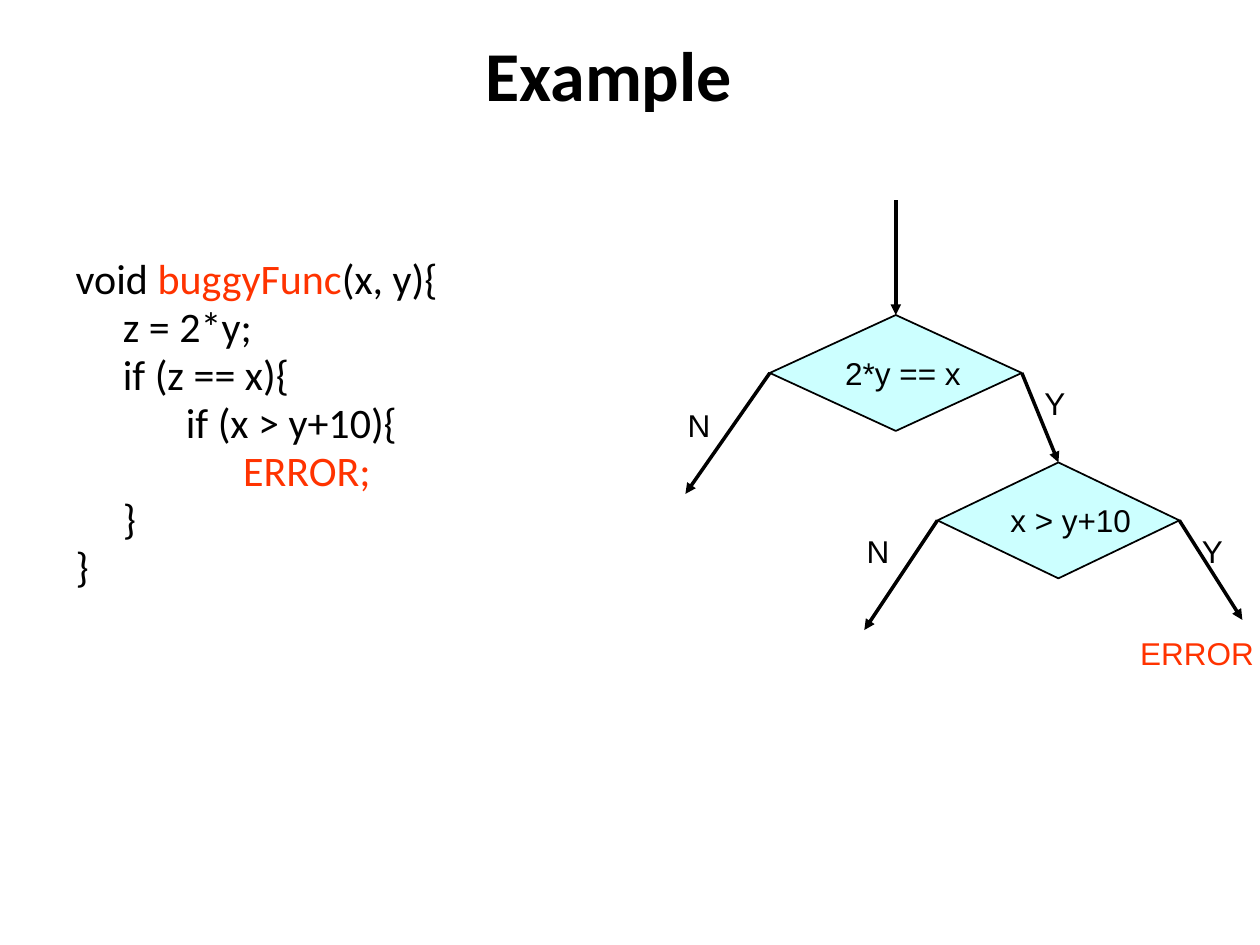
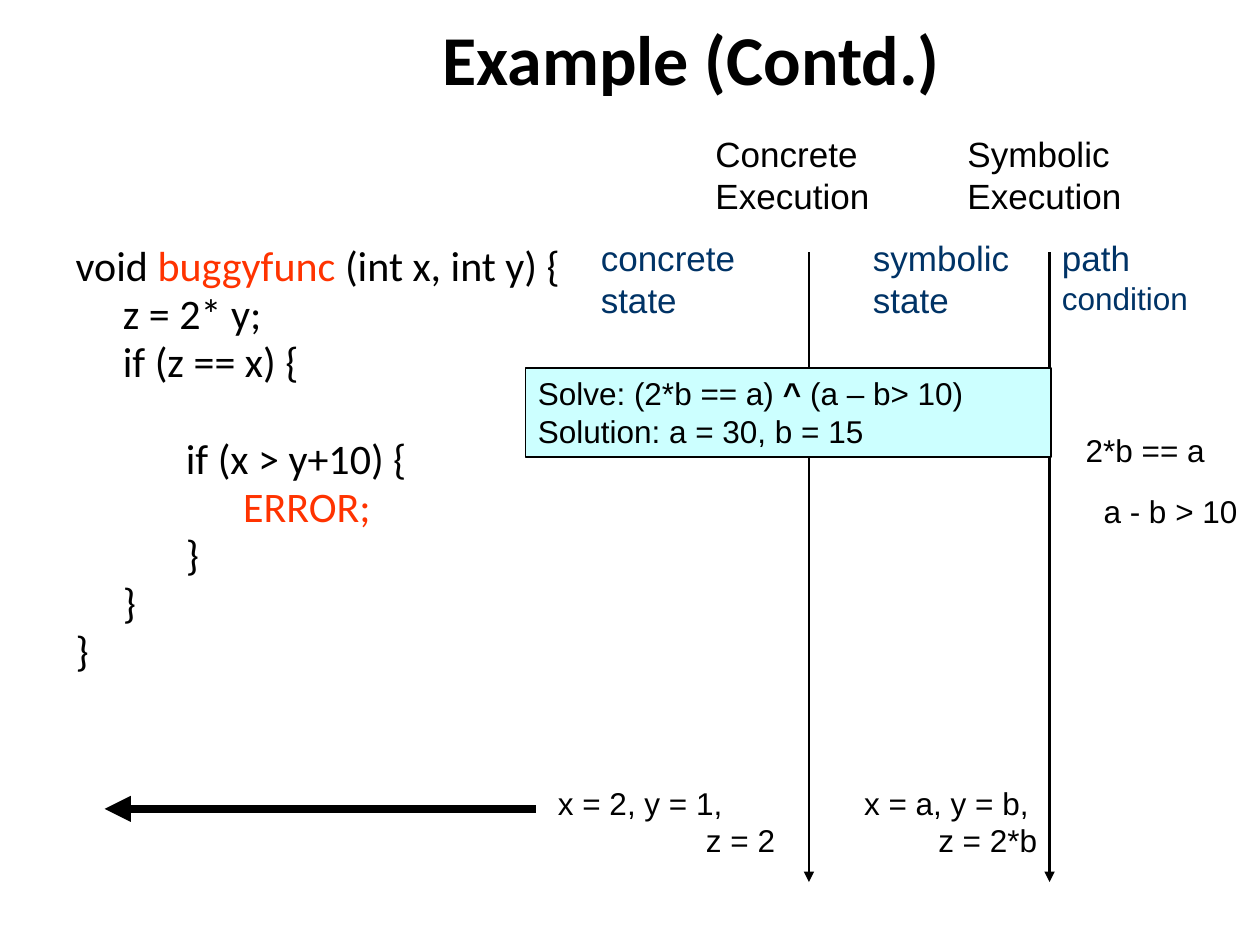
"""Build two slides on a buggy function: its branch tree and its concolic execution."""
import dataclasses

import lxml.etree
import pptx
import pptx.dml.color
import pptx.enum.shapes
import pptx.enum.text
import pptx.oxml.ns
import pptx.util

RGB = pptx.dml.color.RGBColor.from_string
Pt = pptx.util.Pt
ALIGN = pptx.enum.text.PP_ALIGN
ANCHOR = pptx.enum.text.MSO_ANCHOR
SHAPE = pptx.enum.shapes.MSO_SHAPE
qn = pptx.oxml.ns.qn


@dataclasses.dataclass(frozen=True)
class Theme:
    ink = RGB("000000")
    alert = RGB("FF3300")
    navy = RGB("003366")
    pale = RGB("CCFFFF")
    title = {"name": "Calibri", "size": Pt(40), "bold": True, "color": ink}
    code = {"name": "Calibri", "size": Pt(24), "color": ink}
    label = {"name": "Arial", "size": Pt(18), "color": ink}
    heading = {"name": "Arial", "size": Pt(20), "color": ink}
    state = {"name": "Arial", "size": Pt(20), "color": navy}
    left = {"alignment": ALIGN.LEFT}
    right = {"alignment": ALIGN.RIGHT}
    centre = {"alignment": ALIGN.CENTER}
    code_line = {"alignment": ALIGN.LEFT, "line_spacing": 0.8, "space_before": Pt(4.4)}
    after_gap = {"space_before": Pt(32.2)}


prs = pptx.Presentation()
prs.slide_width, prs.slide_height = pptx.util.Inches(10), pptx.util.Inches(7.5)
COL, ROW = prs.slide_width // 100, prs.slide_height // 75
INDENTS = [0, 3.75, 8.75, 13.3]
RED = {"color": Theme.alert}


def fill(tf, paras, font, para, **frame):
    """Write (indent, paragraph format, runs) rows into a text frame."""
    for key, value in {"word_wrap": True, "vertical_anchor": ANCHOR.TOP, **frame}.items():
        setattr(tf, key, value)
    for i, (indent, own, runs) in enumerate(paras):
        p = tf.add_paragraph() if i else tf.paragraphs[0]
        for key, value in {**para, **own}.items():
            setattr(p, key, value)
        pPr = p._p.get_or_add_pPr()
        pPr.set("marL", str(int(indent * COL)))
        pPr.set("indent", "0")
        lxml.etree.SubElement(pPr, qn("a:buNone"))
        for text, change in runs:
            r = p.add_run()
            r.text = text
            look = {**font, **change}
            r.font.color.rgb = look.pop("color")
            for key, value in look.items():
                setattr(r.font, key, value)


def arrow(s, start, end, width, source=None, target=None):
    """Draw an arrow in grid units, joined to (shape, site) pairs if given."""
    c = s.shapes.add_connector(pptx.enum.shapes.MSO_CONNECTOR.STRAIGHT,
                               int(start[0] * COL), int(start[1] * ROW),
                               int(end[0] * COL), int(end[1] * ROW))
    if source:
        c.begin_connect(*source)
    if target:
        c.end_connect(*target)
    c.line.color.rgb = Theme.ink
    c.line.width = Pt(width)
    lxml.etree.SubElement(c.line._get_or_add_ln(), qn("a:tailEnd"), type="triangle")
    lxml.etree.SubElement(c._element.spPr, qn("a:effectLst"))


pages = [
    ("Example", (37.4, 2, 21.8, 7.7), (5, 20.3, 44.2, 48.9), [
        (0, {}, [("void ", {}), ("buggyFunc", RED), ("(x, y){", {})]),
        (1, {}, [("z = 2*y;", {})]),
        (1, {}, [("if (z == x){", {})]),
        (2, {}, [("if (x > y+10){", {})]),
        (3, {}, [("ERROR;", RED)]),
        (1, {}, [("}", {})]),
        (0, {}, [("}", {})]),
    ]),
    ("Example (Contd.)", (33.9, 0.7, 41.9, 7.7), (5, 19.3, 44.2, 49.8), [
        (0, {}, [("void ", {}), ("buggyfunc ", RED), ("(int x, int y) {", {})]),
        (1, {}, [("z = 2* y;", {})]),
        (1, {}, [("if (z == x) {", {})]),
        (2, Theme.after_gap, [("if (x > y+10) {", {})]),
        (3, {}, [("ERROR;", RED)]),
        (2, {}, [("}", {})]),
        (1, {}, [("}", {})]),
        (0, {}, [("}", {})]),
    ]),
]
for title, title_box, code_box, code in pages:
    s = prs.slides.add_slide(prs.slide_layouts[1])
    for sp, box in zip(s.placeholders, (title_box, code_box)):
        sp.left, sp.width = int(box[0] * COL), int(box[2] * COL)
        sp.top, sp.height = int(box[1] * ROW), int(box[3] * ROW)
        sp.text_frame.auto_size = pptx.enum.text.MSO_AUTO_SIZE.NONE
    fill(s.shapes.title.text_frame, [(0, {}, [(title, {})])],
         Theme.title, Theme.centre, word_wrap=False)
    fill(s.placeholders[1].text_frame,
         [(INDENTS[level], own, runs) for level, own, runs in code],
         Theme.code, Theme.code_line)
tree, trace = prs.slides

for x in (64.2, 83.3):
    arrow(trace, (x, 20), (x, 70), 1.5)
arrow(trace, (42.5, 64.2), (8.3, 64.2), 5)

in_diamond = {"word_wrap": False, "vertical_anchor": ANCHOR.MIDDLE}
nodes = []
for s, kind, (x, y, w, h), lines, frame in [
    (tree, SHAPE.DIAMOND, (61.1, 25, 20, 9.2), [[("2*y == x", {})]], in_diamond),
    (tree, SHAPE.DIAMOND, (74.4, 36.7, 19.2, 9.2), [[("x > y+10", {})]], in_diamond),
    (trace, SHAPE.RECTANGLE, (41.7, 29.2, 41.7, 7.1), [
        [("Solve: (2*b == a) ", {}), ("^", {"bold": True}), (" (a – b> 10)", {})],
        [("Solution: a = 30, b = 15", {})],
    ], {}),
]:
    sp = s.shapes.add_shape(kind, int(x * COL), int(y * ROW), int(w * COL), int(h * ROW))
    sp.shadow.inherit = False
    sp.fill.solid()
    sp.fill.fore_color.rgb = Theme.pale
    sp.line.color.rgb = Theme.ink
    sp.line.width = Pt(1)
    fill(sp.text_frame, [(0, {}, runs) for runs in lines], Theme.label, Theme.left, **frame)
    nodes.append(sp)
equal, greater = nodes[:2]

for start, end, source, target in [
    ((71.1, 15.9), (71.1, 25), None, (equal, 0)),
    ((61.1, 29.6), (54.4, 39.2), (equal, 1), None),
    ((81.1, 29.6), (84, 36.7), (equal, 3), (greater, 0)),
    ((74.4, 41.3), (68.6, 50), (greater, 1), None),
    ((93.6, 41.3), (98.6, 49.2), (greater, 3), None),
]:
    arrow(tree, start, end, 2, source, target)

labels = [
    (tree, (x, y, 5, 4), [(0, {}, [(text, {})])], Theme.label)
    for text, x, y in [("Y", 81.9, 30), ("Y", 94.4, 41.7), ("N", 53.6, 31.7), ("N", 67.8, 41.7)]
] + [
    (trace, (x, y, w, 7.7), [(0, {}, [(text, {})])], font)
    for text, x, y, w, font in [
        ("Concrete Execution", 55.8, 10, 16.7, Theme.heading),
        ("Symbolic Execution", 75.8, 10, 16.7, Theme.heading),
        ("concrete state", 46.7, 18.3, 15, Theme.state),
        ("symbolic state", 68.3, 18.3, 15, Theme.state),
    ]
] + [
    (tree, (89.5, 49.8, 15.8, 4), [(0, {}, [("ERROR", RED)])], Theme.label),
    (trace, (83.3, 18.3, 16.7, 7.3),
     [(0, {}, [("path ", {}), ("condition", {"size": Pt(18)})])], Theme.state),
    (trace, (83.3, 33.7, 13.3, 4), [(0, Theme.right, [("2*b == a", {})])], Theme.label),
    (trace, (84.1, 38.6, 15.1, 4), [(0, Theme.right, [("a - b > 10", {})])], Theme.label),
    (trace, (42.5, 61.7, 20, 7),
     [(0.8, {}, [("x = 2, y = 1,", {})]), (0, Theme.right, [("z = 2", {})])], Theme.label),
    (trace, (65.8, 61.7, 17.5, 7),
     [(1.8, {}, [("x = a, y = b,", {})]), (0, Theme.right, [("z = 2*b", {})])], Theme.label),
]
for s, (x, y, w, h), paras, font in labels:
    sp = s.shapes.add_textbox(int(x * COL), int(y * ROW), int(w * COL), int(h * ROW))
    fill(sp.text_frame, paras, font, Theme.left)

prs.save("out.pptx")
